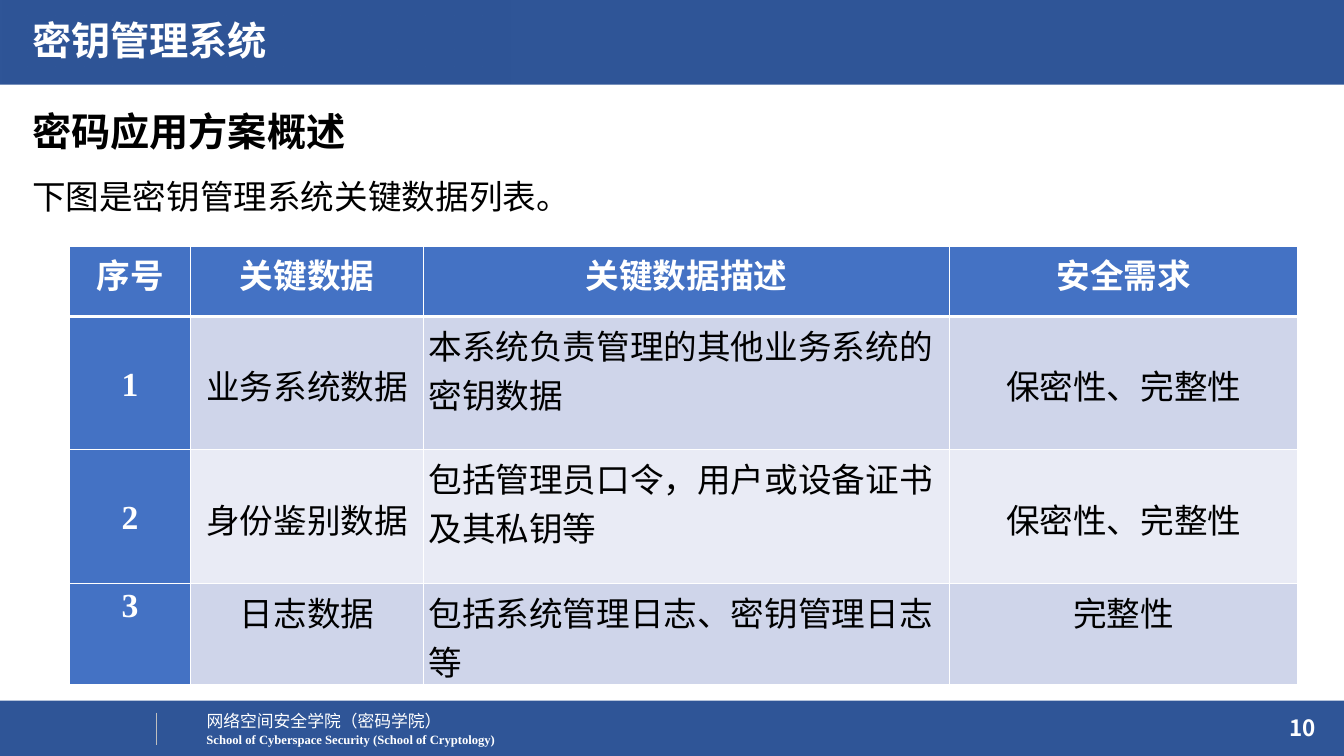
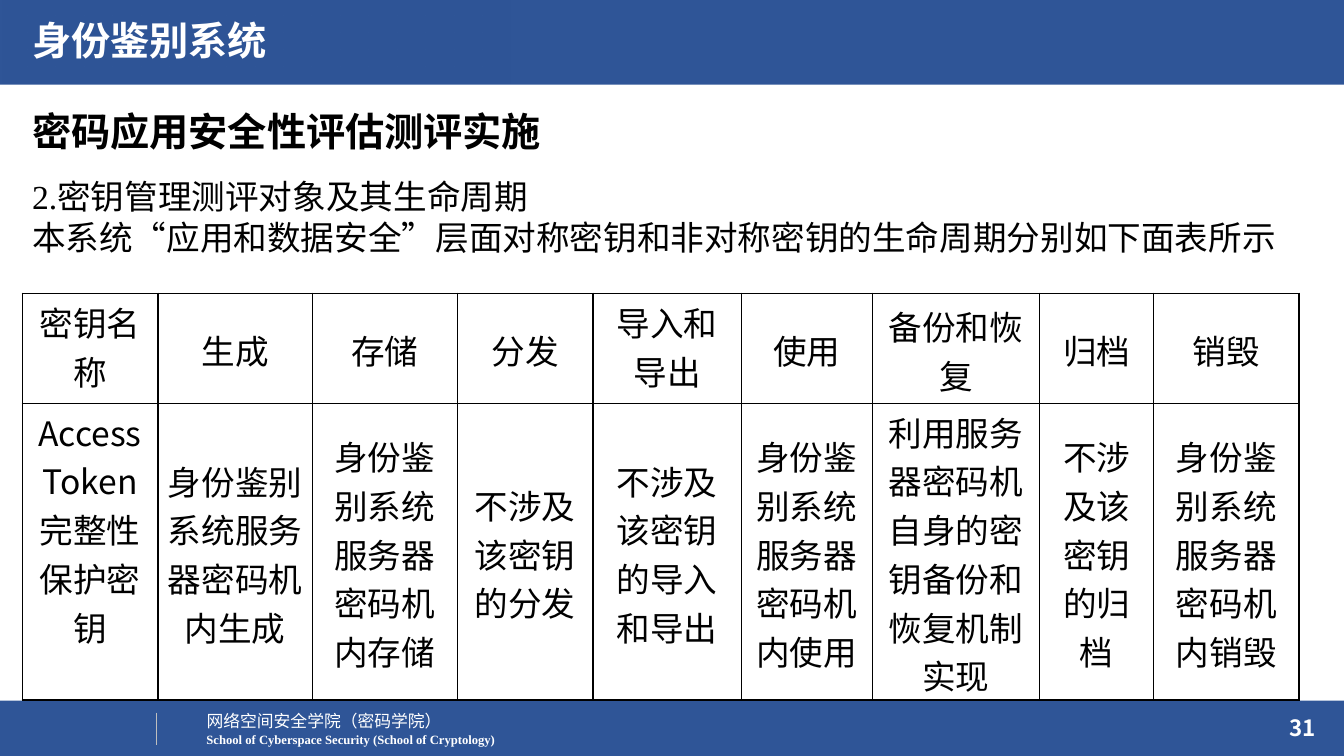
from lxml.etree import SubElement
from pptx import Presentation
from pptx.dml.color import RGBColor as RGB
from pptx.enum.shapes import MSO_CONNECTOR as CONN, MSO_SHAPE as SHAPE
from pptx.enum.text import MSO_ANCHOR as ANCHOR, PP_ALIGN as ALIGN
from pptx.oxml import parse_xml
from pptx.oxml.ns import nsdecls, qn
from pptx.util import Inches, Pt

C = {"blue": "2F5597", "head": "4472C4", "odd": "CFD5EA", "even": "E9EBF5",
     "white": "FFFFFF", "black": "000000", "gray": "BFBFBF"}
SANS, SERIF = "Noto Sans CJK SC", "Times New Roman"

prs = Presentation()
prs.slide_width, prs.slide_height = Inches(13.33), Inches(7.5)


def place(x, y, w=0, h=0):
    """Turn percentages of the slide into lengths."""
    return [int(v * side / 100) for v, side in
            zip((x, y, w, h), (prs.slide_width, prs.slide_height) * 2)]


def write(tf, text, size, color, name=SANS, bold=False, **para):
    """Fill a text frame, one paragraph per line of text."""
    for i, line in enumerate(text.split("\n")):
        p = tf.add_paragraph() if i else tf.paragraphs[0]
        for key, value in para.items():
            setattr(p, key, value)
        r = p.add_run()
        r.text = line
        for key, value in {"size": Pt(size), "name": name, "bold": bold}.items():
            setattr(r.font, key, value)
        r.font.color.rgb = RGB.from_string(C[color])
        SubElement(r.font._element, qn("a:ea"), typeface=SANS)


# Shared text styles
HEADING = {"size": 28, "bold": True, "space_before": Pt(10)}
BODY = {"size": 24, "color": "black", "name": SERIF, "alignment": ALIGN.JUSTIFY}

# Content: columns are shares of the slide's width, rows of its height
SLIDES = [
    {"title": "密钥管理系统", "page": "10",
     "heading": "密码应用方案概述",
     "body": "下图是密钥管理系统关键数据列表。",
     "at": (5.18, 32.53), "cols": [9, 17.33, 39.16, 25.88],
     "rows": [9.33, 17.6, 17.73, 13.4],
     "font": SERIF, "inset": 0.05, "line": "white", "banded": True,
     "top": [(0, 0), (0, 1), (0, 2), (0, 3), (1, 2), (2, 2),
             (3, 0), (3, 1), (3, 2), (3, 3)],
     "cells": [
         ["序号", "关键数据", "关键数据描述", "安全需求"],
         ["1", "业务系统数据", "本系统负责管理的其他业务系统的密钥数据", "保密性、完整性"],
         ["2", "身份鉴别数据", "包括管理员口令，用户或设备证书及其私钥等", "保密性、完整性"],
         ["3", "日志数据", "包括系统管理日志、密钥管理日志等", "完整性"]]},
    {"title": "身份鉴别系统", "page": "31",
     "heading": "密码应用安全性评估测评实施",
     "body": "2.密钥管理测评对象及其生命周期\n"
             "本系统“应用和数据安全”层面对称密钥和非对称密钥的生命周期分别如下面表所示",
     "at": (1.65, 38.8),
     "cols": [10.1, 11.48, 10.8, 10.1, 11.03, 9.75, 12.45, 8.5, 10.8],
     "rows": [14.53, 39.27],
     "font": SANS, "inset": 0.07, "line": "black", "banded": False,
     "top": [(0, 0), (0, 4), (1, 0), (1, 6)],
     "cells": [
         ["密钥名称", "生成", "存储", "分发", "导入和导出", "使用", "备份和恢复",
          "归档", "销毁"],
         ["Access\nToken 完整性保护密钥", "身份鉴别系统服务器密码机内生成",
          "身份鉴别系统服务器密码机内存储", "不涉及该密钥的分发",
          "不涉及该密钥的导入和导出", "身份鉴别系统服务器密码机内使用",
          "利用服务器密码机自身的密钥备份和恢复机制实现", "不涉及该密钥的归档",
          "身份鉴别系统服务器密码机内销毁"]]},
]

for d in SLIDES:
    s = prs.slides.add_slide(prs.slide_layouts[6])

    # Footer band, title band and the fade over the title band
    for at in ((0, 92.67, 100, 7.33), (0, 0, 100, 11.2), (0, -0.13, 38, 11.2)):
        sp = s.shapes.add_shape(SHAPE.RECTANGLE, *place(*at))
        sp.shadow.inherit = False
        sp.line.fill.background()
        sp.fill.solid()
        sp.fill.fore_color.rgb = RGB.from_string(C["blue"])
    sp.fill.gradient()
    sp.fill.gradient_angle = 0
    for stop in sp.fill.gradient_stops:
        stop.color.rgb = RGB.from_string(C["blue"])
    clear = sp._element.spPr.find(".//" + qn("a:srgbClr"))
    SubElement(clear, qn("a:alpha"), val="0")

    # Footer divider
    x, y, _, h = place(11.65, 94.27, 0, 4.27)
    ln = s.shapes.add_connector(CONN.STRAIGHT, x, y, x, y + h)
    ln.line.width = Pt(0.5)
    ln.line.color.rgb = RGB.from_string(C["gray"])
    SubElement(ln._element.spPr, qn("a:effectLst"))

    # Title, heading, body, footer and page number
    for at, text, wrap, anchor, fmt in (
            ((1.65, 1.47, 63.17, 8.13), d["title"], True, ANCHOR.TOP,
             HEADING | {"color": "white"}),
            ((1.65, 13.47, 96.77, 8.27), d["heading"], True, ANCHOR.TOP,
             HEADING | {"color": "black"}),
            ((1.65, 22.67, 96.77, 65.87), d["body"], True, ANCHOR.TOP, BODY),
            ((14.63, 93.33, 19.2, 4), "网络空间安全学院（密码学院）", False, ANCHOR.TOP,
             {"size": 12, "color": "white"}),
            ((14.63, 96.13, 23.18, 3.33),
             "School of Cyberspace Security (School of Cryptology)", False, ANCHOR.TOP,
             {"size": 9, "color": "white", "name": SERIF, "bold": True}),
            ((76.14, 93.6, 22.51, 5.33), d["page"], True, ANCHOR.MIDDLE,
             {"size": 16, "color": "white", "bold": True, "alignment": ALIGN.RIGHT})):
        tf = s.shapes.add_textbox(*place(*at)).text_frame
        tf.word_wrap, tf.vertical_anchor = wrap, anchor
        write(tf, text, **fmt)

    # Table
    cols, rows = d["cols"], d["rows"]
    tbl = s.shapes.add_table(len(rows), len(cols),
                             *place(*d["at"], sum(cols), sum(rows))).table
    tbl.first_row, tbl.horz_banding = d["banded"], d["banded"]
    for col, share in zip(tbl.columns, cols):
        col.width = place(share, 0)[0]
    for row, share in zip(tbl.rows, rows):
        row.height = place(0, share)[1]

    for i, texts in enumerate(d["cells"]):
        for j, text in enumerate(texts):
            cell = tbl.cell(i, j)
            header = d["banded"] and 0 in (i, j)
            left = d["banded"] and i and j == 2
            for key, value in {
                    "margin_left": Inches(d["inset"]), "margin_right": Inches(d["inset"]),
                    "margin_top": Inches(0.04), "margin_bottom": 0,
                    "vertical_anchor": ANCHOR.TOP if (i, j) in d["top"]
                    else ANCHOR.MIDDLE}.items():
                setattr(cell, key, value)
            write(cell.text_frame, text, 24, "white" if header else "black", d["font"],
                  header, alignment=ALIGN.LEFT if left else ALIGN.CENTER)
            if d["banded"]:
                cell.fill.solid()
                fill = "head" if header else "odd" if i % 2 else "even"
                cell.fill.fore_color.rgb = RGB.from_string(C[fill])
            else:
                cell.fill.background()

            # Borders, thicker under a banded header row
            for n, side in enumerate("LRTB"):
                thick = d["banded"] and (i, side) in ((0, "B"), (1, "T"))
                cell._tc.get_or_add_tcPr().insert(n, parse_xml(
                    f'<a:ln{side} {nsdecls("a")} w="{Pt(3 if thick else 1)}"><a:solidFill>'
                    f'<a:srgbClr val="{C[d["line"]]}"/></a:solidFill></a:ln{side}>'))

prs.save("out.pptx")
